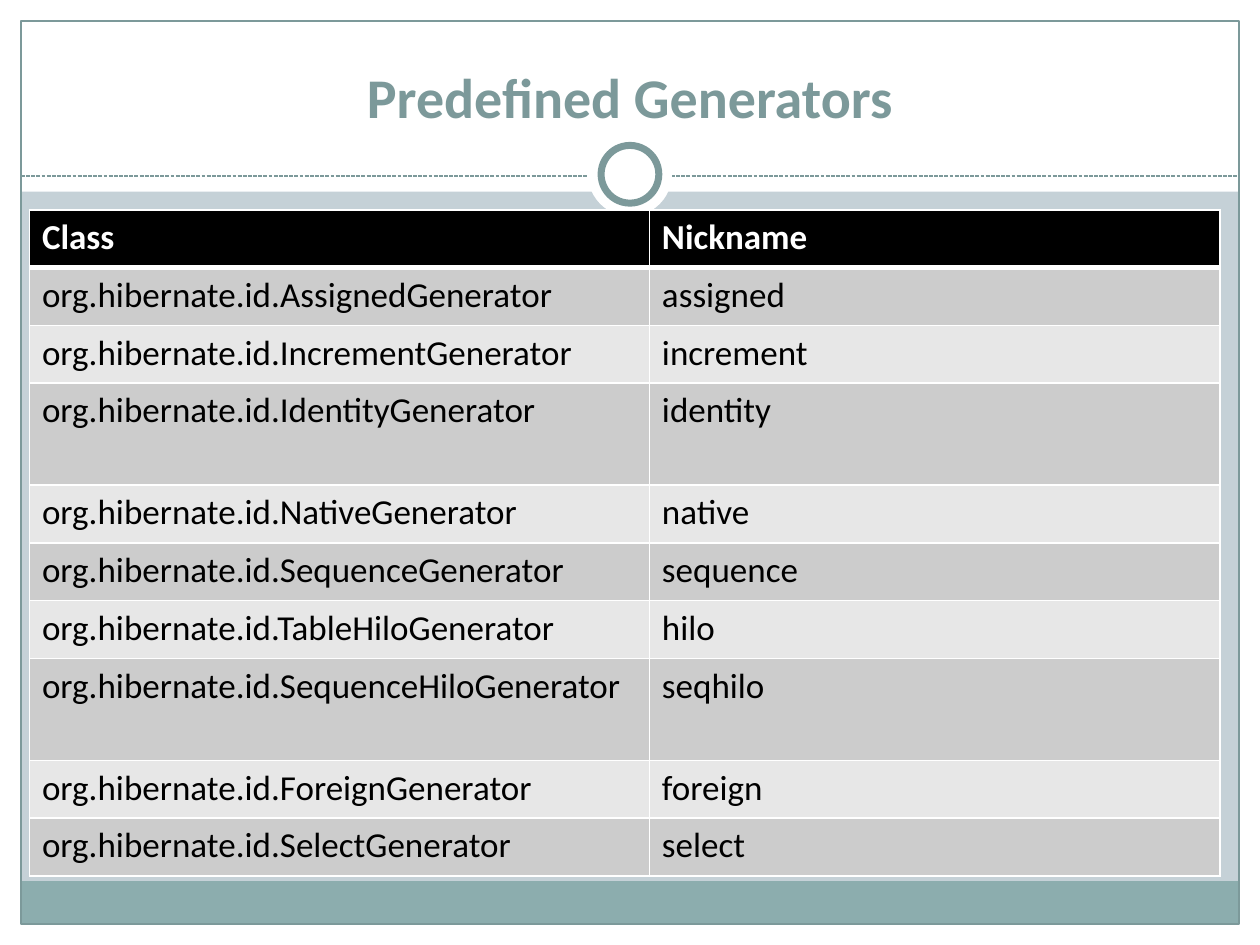
from lxml.etree import SubElement
from pptx import Presentation
from pptx.dml.color import RGBColor
from pptx.enum.dml import MSO_LINE
from pptx.enum.shapes import MSO_CONNECTOR, MSO_SHAPE
from pptx.enum.text import MSO_ANCHOR, MSO_AUTO_SIZE, PP_ALIGN
from pptx.oxml.ns import qn
from pptx.util import Pt

COLORS = {
    "backdrop": "C5D1D7", "white": "FFFFFF", "black": "000000",
    "teal": "7C999A", "footer": "8CADAE", "odd": "CCCCCC", "even": "E7E7E7",
}
PAGE_WIDTH, PAGE_HEIGHT, MARGIN = 720, 540, 12
ROW_HEIGHT, TALL_ROW_HEIGHT = 33, 58.3
TALL_ROWS = {"identity", "seqhilo"}
GENERATORS = [
    ("AssignedGenerator", "assigned"),
    ("IncrementGenerator", "increment"),
    ("IdentityGenerator", "identity"),
    ("NativeGenerator", "native"),
    ("SequenceGenerator", "sequence"),
    ("TableHiloGenerator", "hilo"),
    ("SequenceHiloGenerator", "seqhilo"),
    ("ForeignGenerator", "foreign"),
    ("SelectGenerator", "select"),
]


def color(name):
    """Return the named palette colour."""
    return RGBColor.from_string(COLORS[name])


def write(frame, text, size=20, ink="black", bold=False, align=PP_ALIGN.LEFT):
    """Write one formatted paragraph into a text frame."""
    para = frame.paragraphs[0]
    para.alignment = align
    span = para.add_run()
    span.text = text
    span.font.name = "Calibri"
    span.font.size = Pt(size)
    span.font.bold = bold
    span.font.color.rgb = color(ink)


def add_box(page, box, fill=None, line=None, weight=0.75, kind=MSO_SHAPE.RECTANGLE):
    """Add a flat shape with optional fill and outline."""
    shape = page.shapes.add_shape(kind, *map(Pt, box))
    shape.shadow.inherit = False
    if fill:
        shape.fill.solid()
        shape.fill.fore_color.rgb = color(fill)
    else:
        shape.fill.background()
    if line:
        shape.line.color.rgb = color(line)
        shape.line.width = Pt(weight)
    else:
        shape.line.fill.background()


def add_frame(page, box):
    """Draw the white margins, header band, footer bar and outline."""
    left, top, width, height = box
    right, bottom = left + width, top + height
    for band in (
        (0, bottom, PAGE_WIDTH, PAGE_HEIGHT - bottom),
        (0, 0, PAGE_WIDTH, 109.5),
        (0, 0, left, PAGE_HEIGHT),
        (right, 0, PAGE_WIDTH - right, PAGE_HEIGHT),
    ):
        add_box(page, band, fill="white")
    add_box(page, (left, bottom - 24.5, width, 24.5), fill="footer")
    add_box(page, box, line="teal")


def add_divider(page, box):
    """Draw the dashed rule and the ring centred in the box."""
    left, top, width, height = box
    rule_y = top + height / 2 + 1
    rule = page.shapes.add_connector(
        MSO_CONNECTOR.STRAIGHT, Pt(left), Pt(rule_y), Pt(left + width), Pt(rule_y))
    rule.line.color.rgb = color("teal")
    rule.line.width = Pt(0.75)
    rule.line.dash_style = MSO_LINE.SQUARE_DOT
    SubElement(rule.element.spPr, qn("a:effectLst"))
    for size, line in ((height, None), (33, "teal")):
        ring = (left + (width - size) / 2, top + (height - size) / 2, size, size)
        add_box(page, ring, fill="white", line=line, weight=4, kind=MSO_SHAPE.OVAL)


def add_title(page, box, text):
    """Place the title placeholder above the frame and fill it."""
    title = page.shapes.title
    page.shapes.element.append(title.element)
    title.left, title.top, title.width, title.height = map(Pt, box)
    frame = title.text_frame
    frame.word_wrap = True
    frame.auto_size = MSO_AUTO_SIZE.NONE
    frame.vertical_anchor = MSO_ANCHOR.BOTTOM
    write(frame, text, size=32, ink="teal", bold=True, align=PP_ALIGN.CENTER)


def set_borders(cell, **weights):
    """Give a cell white borders of the given point weights."""
    properties = cell._tc.get_or_add_tcPr()
    for position, (side, weight) in enumerate(weights.items()):
        line = properties.makeelement(qn(f"a:{side}"), {"w": str(int(Pt(weight)))})
        fill = SubElement(line, qn("a:solidFill"))
        SubElement(fill, qn("a:srgbClr"), val=COLORS["white"])
        properties.insert(position, line)


def add_generator_table(page, box):
    """Build the table of generator classes and nicknames."""
    rows = [("Class", "Nickname")]
    rows += [(f"org.hibernate.id.{name}", nickname) for name, nickname in GENERATORS]
    table = page.shapes.add_table(len(rows), 2, *map(Pt, box)).table
    table.columns[0].width = Pt(354.3)
    table.columns[1].width = Pt(box[2] - 354.3)
    for index, values in enumerate(rows):
        header = index == 0
        tall = values[1] in TALL_ROWS
        table.rows[index].height = Pt(TALL_ROW_HEIGHT if tall else ROW_HEIGHT)
        fill = "black" if header else "odd" if index % 2 else "even"
        for column, text in enumerate(values):
            cell = table.cell(index, column)
            cell.fill.solid()
            cell.fill.fore_color.rgb = color(fill)
            set_borders(cell, lnL=1, lnR=1, lnT=3 if index == 1 else 1,
                        lnB=3 if header else 1)
            write(cell.text_frame, text, ink="white" if header else "black", bold=header)


def main():
    """Build and save the deck."""
    deck = Presentation()
    deck.slide_width, deck.slide_height = Pt(PAGE_WIDTH), Pt(PAGE_HEIGHT)
    page = deck.slides.add_slide(deck.slide_layouts[5])
    page.background.fill.solid()
    page.background.fill.fore_color.rgb = color("backdrop")
    inner = PAGE_WIDTH - 2 * MARGIN
    add_frame(page, (MARGIN, MARGIN, inner, PAGE_HEIGHT - 2 * MARGIN))
    add_divider(page, (MARGIN, 75.6, inner, 48))
    add_title(page, (24, 18, 672, 60), "Predefined Generators")
    add_generator_table(page, (16.8, 120, 680.4, 380.6))
    deck.save("out.pptx")


if __name__ == "__main__":
    main()
